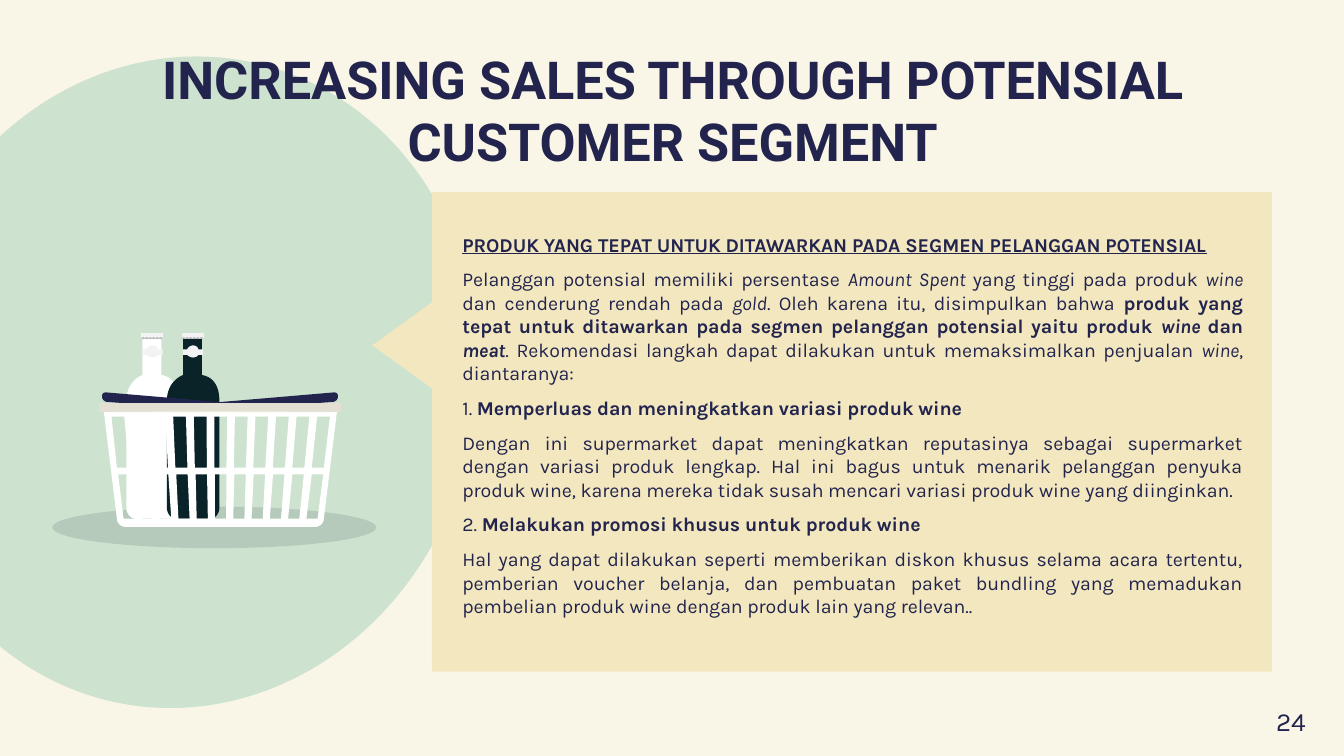
"""Builds a slide on raising sales, with a wine basket and a text panel."""
from lxml import etree
from pptx import Presentation
from pptx.dml.color import RGBColor
from pptx.enum import shapes, text
from pptx.util import Pt

theme = {
    "paper": "FAF6E7", "mint": "CDE2CF", "sand": "F2E7BF", "ink": "22244E",
    "white": "FFFFFF", "night": "092329", "label": "F3F3F3", "tooth": "9E9E9E",
    "rim": "E3DFD2", "head": 28, "body": 10.5, "page": 14,
    "bold": "Roboto", "plain": "Karla",
}


def paint(shape, hue):
    shape.fill.solid()
    shape.fill.fore_color.rgb = RGBColor.from_string(theme[hue])
    shape.line.fill.background()
    shape.shadow.inherit = False
    return shape


def draw(hue, *loops, dx=0, flip=1):
    """Fills loops of points and cubic curves, in hundredths of an inch."""
    pen = None
    for loop in loops:
        dots = [loop[0]]
        for step in loop[1:]:
            if len(step) == 2:
                dots.append(step)
                continue
            knots = [dots[-1], step[:2], step[2:4], step[4:]]
            for n in range(1, 13):
                t = n / 12
                w = [(1 - t) ** 3, 3 * t * (1 - t) ** 2, 3 * t * t * (1 - t), t ** 3]
                dots.append([sum(a * k[i] for a, k in zip(w, knots)) for i in (0, 1)])
        dots = [(Pt(0.72 * (dx + flip * x)), Pt(0.72 * y)) for x, y in dots]
        if pen is None:
            pen = basket.shapes.build_freeform(*dots[0])
        else:
            pen.move_to(*dots[0])
        pen.add_line_segments(dots[1:], close=True)
    return paint(pen.convert_to_shape(), hue)


deck = Presentation()
deck.slide_width, deck.slide_height = Pt(720), Pt(405)
slide = deck.slides.add_slide(deck.slide_layouts[1])
slide.background.fill.solid()
slide.background.fill.fore_color.rgb = RGBColor.from_string(theme["paper"])

kind = shapes.MSO_SHAPE
for form, box, turn, hue in [
    (kind.OVAL, (-59, 29.5, 314.6, 350.6), 12.2, "mint"),
    (kind.RECTANGLE, (231.4, 102.9, 450, 257), 0, "sand"),
    (kind.ISOSCELES_TRIANGLE, (191.5, 167, 51.8, 36), 270, "sand"),
]:
    shape = paint(slide.shapes.add_shape(form, *map(Pt, box)), hue)
    shape.rotation = turn

basket = slide.shapes.add_group_shape()
shade = paint(basket.shapes.add_shape(kind.OVAL, Pt(28), Pt(271.4), Pt(173.6), Pt(22.3)), "night")
color = shade.fill._xPr.find(".//{*}srgbClr")
etree.SubElement(color, color.tag.replace("srgbClr", "alpha"), val="12000")

bottle = [(106, 249), (106, 279), (97, 283, 94, 291, 94, 298), (94, 378),
          (94, 382, 97, 386, 101, 386), (126, 386), (130, 386, 133, 382, 133, 378),
          (133, 298), (133, 291, 131, 281, 120, 279), (120, 249)]
cap = [(105, 248), (105, 252), (121.3, 252), (121.3, 248)]
tooth = [(105.2, 252), (105.2, 250.8, 107.8, 250.8, 107.8, 252)]
label = [(113.5, 257), (115, 257, 117, 258, 117.5, 260), (121, 260), (121, 264),
         (117.5, 264), (117, 265, 115, 266, 113.5, 266),
         (112, 266, 110, 265, 109, 264), (106, 264), (106, 260), (109, 260),
         (110, 258, 112, 257, 113.5, 257)]
for dx, glass in [(0, "white"), (30.2, "night")]:
    draw(glass, bottle, dx=dx)
    draw("label", cap, dx=dx)
    for n in range(6):
        draw("tooth", tooth, dx=dx + 2.65 * n)
    draw("label", label, dx=dx)

handle = [(79, 292), (77, 292, 76, 293, 76, 295), (76, 297, 77, 298, 79, 299),
          (172, 306), (173, 300)]
draw("ink", handle)
draw("ink", handle, dx=327.5, flip=-1)

holes = []
for top, low, x, gap, wide, base, step, foot in [
    (310, 348, 83, 15.3, 9.5, 87, 14.5, 9),
    (353, 386, 88, 14.4, 8.5, 92, 13.6, 8.3),
]:
    for n in range(11):
        a, b = x + gap * n, base + step * n
        holes.append([(a, top), (a + wide, top), (b + foot, low), (b, low)])
crate = [(77, 304), (87, 386), (87, 389, 90, 392, 93, 392), (235, 392),
         (238, 392, 241, 389, 241, 386), (251, 304)]
draw("white", *holes, crate)
draw("rim", [(74, 300), (74, 306.5), (254, 306.5), (254, 300)])
draw("paper", [(77, 306.6), (164, 306.2), (251, 306.6), (164, 307)])

title, body = slide.placeholders
page = slide.shapes.add_textbox(0, 0, 0, 0)
story = [
    [("PRODUK YANG TEPAT UNTUK DITAWARKAN PADA SEGMEN PELANGGAN POTENSIAL", "bu")],
    [("Pelanggan potensial memiliki persentase ", ""), ("Amount Spent ", "i"),
     ("yang tinggi pada produk ", ""), ("wine ", "i"),
     ("dan cenderung rendah pada ", ""), ("gold", "i"),
     (". Oleh karena itu, disimpulkan bahwa ", ""),
     ("produk yang tepat untuk ditawarkan pada segmen pelanggan potensial yaitu produk ", "b"),
     ("wine ", "bi"), ("dan ", "b"), ("meat", "bi"),
     (". Rekomendasi langkah dapat dilakukan untuk memaksimalkan penjualan ", ""),
     ("wine", "i"), (", diantaranya:", "")],
    [("1. ", ""), ("Memperluas dan meningkatkan variasi produk wine", "b")],
    [("Dengan ini supermarket dapat meningkatkan reputasinya sebagai supermarket dengan "
      "variasi produk lengkap. Hal ini bagus untuk menarik pelanggan penyuka produk wine, "
      "karena mereka tidak susah mencari variasi produk wine yang diinginkan.", "")],
    [("2. ", ""), ("Melakukan promosi khusus untuk produk wine", "b")],
    [("Hal yang dapat dilakukan seperti memberikan diskon khusus selama acara tertentu, "
      "pemberian voucher belanja, dan pembuatan paket bundling yang memadukan pembelian "
      "produk wine dengan produk lain yang relevan..", "")],
]
align, anchor = text.PP_ALIGN, text.MSO_ANCHOR
for shape, box, side, fit, size, face, after, paras in [
    (title, (28, 32.4, 664.6, 52.6), anchor.MIDDLE, align.CENTER, "head", "bold", 0,
     [[("INCREASING SALES THROUGH POTENSIAL CUSTOMER SEGMENT", "b")]]),
    (body, (240.5, 121, 432.7, 203), anchor.TOP, align.JUSTIFY, "body", "plain", 6, story),
    (page, (673.2, 374.4, 36.7, 24.5), anchor.TOP, align.CENTER, "page", "plain", 0,
     [[("24", "")]]),
]:
    for name, length in zip(("left", "top", "width", "height"), box):
        setattr(shape, name, Pt(length))
    shape.element.getparent().append(shape.element)
    frame = shape.text_frame
    look = {"word_wrap": True, "auto_size": text.MSO_AUTO_SIZE.NONE, "vertical_anchor": side}
    for name, value in look.items():
        setattr(frame, name, value)
    for n, runs in enumerate(paras):
        para = frame.add_paragraph() if n else frame.paragraphs[0]
        look = {"alignment": fit, "space_before": Pt(0), "space_after": Pt(after)}
        for name, value in look.items():
            setattr(para, name, value)
        props = para._p.get_or_add_pPr()
        props.set("marL", "0")
        props.set("indent", "0")
        etree.SubElement(props, props.tag.replace("pPr", "buNone"))
        for words, marks in runs:
            run = para.add_run()
            run.text = words
            look = {"name": theme[face], "size": Pt(theme[size]), "bold": "b" in marks,
                    "italic": "i" in marks, "underline": "u" in marks}
            for name, value in look.items():
                setattr(run.font, name, value)
            run.font.color.rgb = RGBColor.from_string(theme["ink"])

deck.save("out.pptx")
